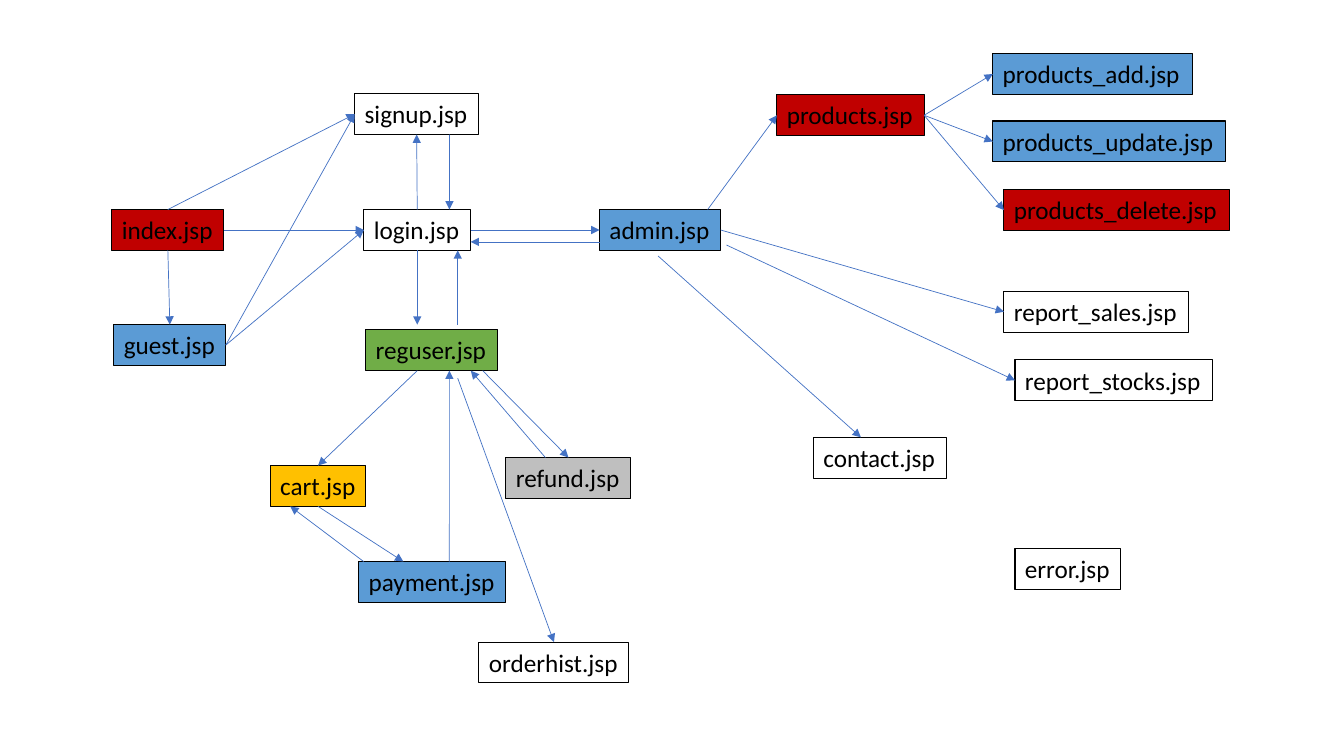
from lxml.etree import SubElement
from pptx import Presentation
from pptx.dml.color import RGBColor
from pptx.enum.shapes import MSO_CONNECTOR
from pptx.enum.text import MSO_AUTO_SIZE, MSO_ANCHOR
from pptx.oxml.ns import qn
from pptx.util import Cm, Pt

BOX_HEIGHT = 1.03
RED, BLUE, GREEN, AMBER, GREY = "C00000", "5B9BD5", "70AD47", "FFC000", "BFBFBF"
# Each side: connection site, then its place as a share of width and height
SIDES = {"top": (0, 0.5, 0), "left": (1, 0, 0.5),
         "bottom": (2, 0.5, 1), "right": (3, 1, 0.5)}

# Page: left, top, width in cm, fill
PAGES = {
    "index": (2.82, 5.28, 2.82, RED),
    "login": (9.17, 5.28, 2.69, None),
    "guest": (2.87, 8.18, 2.82, BLUE),
    "signup": (8.94, 2.36, 3.12, None),
    "admin": (15.11, 5.28, 3.05, BLUE),
    "reguser": (9.22, 8.31, 3.33, GREEN),
    "cart": (6.81, 11.73, 2.41, AMBER),
    "payment": (9.04, 14.15, 3.71, BLUE),
    "products": (19.58, 2.39, 3.71, RED),
    "error": (25.58, 13.82, 2.67, None),
    "refund": (12.75, 11.53, 3.15, GREY),
    "orderhist": (12.07, 16.18, 3.78, None),
    "products_add": (25.02, 1.35, 5.03, BLUE),
    "products_update": (25.02, 3.05, 5.87, BLUE),
    "products_delete": (25.3, 4.78, 5.69, RED),
    "contact": (20.5, 11.02, 3.35, None),
    "report_sales": (25.3, 7.34, 4.65, None),
    "report_stocks": (25.58, 9.07, 4.98, None),
}

# Each end: page, side, then an optional shift (x, y) in cm from the side's middle
LINKS = [
    (("index", "right"), ("login", "left")),
    (("index", "bottom"), ("guest", "top")),
    (("index", "top"), ("signup", "left")),
    (("guest", "right"), ("signup", "left")),
    (("guest", "right"), ("login", "left")),
    (("login", "top"), ("signup", "bottom")),
    (("signup", "bottom", 0.83, 0), ("login", "top", 0.81, 0)),
    (("login", "right"), ("admin", "left")),
    (("admin", "left", 0, 0.3), ("login", "right", 0, 0.3)),
    (("login", "bottom"), ("reguser", "top", -0.37, -0.13)),
    (("reguser", "top", 0.65, -0.13), ("login", "bottom", 1.02, 0)),
    (("reguser", "bottom", -0.37, 0), ("cart", "top")),
    (("cart", "bottom"), ("payment", "top", -0.73, 0)),
    (("payment", "top", -1.73, 0), ("cart", "bottom", -0.7, 0)),
    (("payment", "top", 0.43, 0), ("reguser", "bottom", 0.44, 0)),
    (("reguser", "bottom", 1.28, 0), ("refund", "top")),
    (("refund", "top", -0.58, 0), ("reguser", "bottom", 0.98, 0)),
    (("reguser", "bottom", 0.65, 0.19), ("orderhist", "top")),
    (("admin", "top", 1.2, 0), ("products", "left")),
    (("products", "right"), ("products_add", "left")),
    (("products", "right"), ("products_update", "left")),
    (("products", "right"), ("products_delete", "left")),
    (("admin", "right"), ("report_sales", "left")),
    (("admin", "right", 0.15, 0.38), ("report_stocks", "left")),
    (("admin", "bottom", -0.05, 0.14), ("contact", "top", -0.48, 0)),
]


def rgb(hex_colour):
    """Turn a hex string into a colour."""
    return RGBColor.from_string(hex_colour)


def link_point(page, side, dx=0, dy=0):
    """Return the point where a link meets a side of a page."""
    left, top, width, _ = PAGES[page]
    _, across, down = SIDES[side]
    return Cm(left + across * width + dx), Cm(top + down * BOX_HEIGHT + dy)


prs = Presentation()
prs.slide_width, prs.slide_height = Cm(33.87), Cm(19.05)
site_map = prs.slides.add_slide(prs.slide_layouts[6])

page_boxes = {}
for page, (left, top, width, fill) in PAGES.items():
    box = site_map.shapes.add_textbox(Cm(left), Cm(top), Cm(width), Cm(BOX_HEIGHT))
    if fill:
        box.fill.solid()
        box.fill.fore_color.rgb = rgb(fill)
    box.line.color.rgb = rgb("000000")
    box.line.width = Pt(0.75)
    frame = box.text_frame
    frame.word_wrap = False
    frame.auto_size = MSO_AUTO_SIZE.SHAPE_TO_FIT_TEXT
    frame.vertical_anchor = MSO_ANCHOR.TOP
    label = frame.paragraphs[0]
    label.text = f"{page}.jsp"
    label.font.name = "Calibri"
    label.font.size = Pt(18)
    label.font.color.rgb = rgb("000000")
    page_boxes[page] = box

for start, end in LINKS:
    link = site_map.shapes.add_connector(
        MSO_CONNECTOR.STRAIGHT, *link_point(*start), *link_point(*end))
    # Only ends at the middle of a side are attached to their page
    for (page, side, *shift), attach in ((start, link.begin_connect),
                                         (end, link.end_connect)):
        if not shift:
            attach(page_boxes[page], SIDES[side][0])
    link.line.color.rgb = rgb("4472C4")
    link.line.width = Pt(0.5)
    SubElement(link.line._get_or_add_ln(), qn("a:tailEnd"), type="triangle")
    SubElement(link._element.spPr, qn("a:effectLst"))

prs.save("out.pptx")
